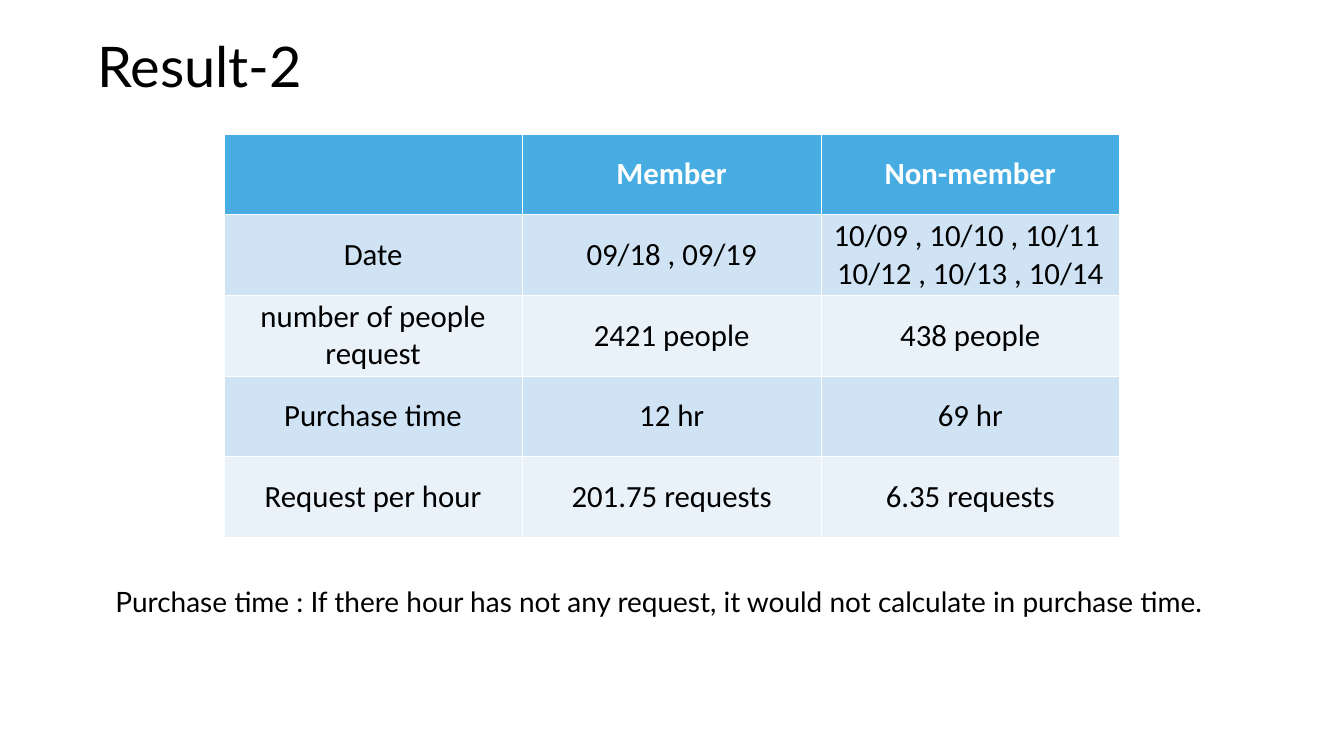
"""Build the Result-2 slide comparing member and non-member requests."""
from dataclasses import dataclass

from lxml.etree import SubElement
from pptx import Presentation
from pptx.dml.color import RGBColor
from pptx.enum.text import MSO_ANCHOR, MSO_AUTO_SIZE, PP_ALIGN
from pptx.oxml.ns import qn
from pptx.util import Inches, Pt

SLIDE_SIZE = (26.66, 15)
TABLE_BOX = (4.44, 2.66, 17.77, 8)
HEADER_FILL = "46ACE1"
BAND_FILLS = ("CFE3F4", "E9F1F9")
TITLE_FONT = {"name": "Lato", "size": Pt(80), "bold": False}
NOTE_FONT = {"name": "Lato", "size": Pt(40), "bold": False}
HEADER_FONT = {"name": "Calibri", "size": Pt(44), "bold": True}
CELL_FONT = {**HEADER_FONT, "bold": False}


@dataclass(frozen=True)
class Row:
    label: str
    member: str
    non_member: str


@dataclass(frozen=True)
class TextBlock:
    text: str
    box: tuple[float, float, float, float]
    font: dict
    anchor: MSO_ANCHOR
    space_before: float


ROWS = (
    Row("", "Member", "Non-member"),
    Row("Date", "09/18 , 09/19", "10/09 , 10/10 , 10/11  10/12 , 10/13 , 10/14"),
    Row("number of people request", "2421 people", "438 people"),
    Row("Purchase time", "12 hr", "69 hr"),
    Row("Request per hour", "201.75 requests", "6.35 requests"),
)
TITLE = TextBlock("Result-2", (1.83, 0.33, 22.99, 2.1), TITLE_FONT, MSO_ANCHOR.MIDDLE, 0)
NOTE = TextBlock(
    "Purchase time : If there hour has not any request, it would not calculate in purchase time.",
    (2.19, 11.63, 22.29, 2.1), NOTE_FONT, MSO_ANCHOR.TOP, 20,
)


def set_color(color_format, value: str) -> None:
    color_format.rgb = RGBColor.from_string(value)


def apply_format(target, values: dict) -> None:
    for name, value in values.items():
        setattr(target, name, value)


def fill_placeholder(shape, block: TextBlock) -> None:
    apply_format(shape, dict(zip(("left", "top", "width", "height"), map(Inches, block.box))))
    frame = shape.text_frame
    frame.text = block.text
    apply_format(frame, {"word_wrap": True, "auto_size": MSO_AUTO_SIZE.NONE,
                         "vertical_anchor": block.anchor})
    paragraph = frame.paragraphs[0]
    apply_format(paragraph, {"alignment": PP_ALIGN.LEFT, "line_spacing": 0.9,
                             "space_before": Pt(block.space_before)})
    properties = paragraph._p.get_or_add_pPr()
    properties.set("marL", "0")
    properties.set("indent", "0")
    SubElement(properties, qn("a:buNone"))
    font = paragraph.runs[0].font
    apply_format(font, block.font)
    set_color(font.color, "000000")


def fill_cell(cell, text: str, font_values: dict, text_color: str, fill_color: str) -> None:
    cell.fill.solid()
    set_color(cell.fill.fore_color, fill_color)
    cell.vertical_anchor = MSO_ANCHOR.MIDDLE
    cell.text = text
    paragraph = cell.text_frame.paragraphs[0]
    paragraph.alignment = PP_ALIGN.CENTER
    for run in paragraph.runs:
        apply_format(run.font, font_values)
        set_color(run.font.color, text_color)


def add_result_table(slide) -> None:
    table = slide.shapes.add_table(len(ROWS), 3, *map(Inches, TABLE_BOX)).table
    for row_index, row in enumerate(ROWS):
        if row_index == 0:
            style = (HEADER_FONT, "FFFFFF", HEADER_FILL)
        else:
            style = (CELL_FONT, "000000", BAND_FILLS[(row_index - 1) % 2])
        for column_index, text in enumerate((row.label, row.member, row.non_member)):
            fill_cell(table.cell(row_index, column_index), text, *style)


def main() -> None:
    presentation = Presentation()
    presentation.slide_width, presentation.slide_height = map(Inches, SLIDE_SIZE)
    slide = presentation.slides.add_slide(presentation.slide_layouts[1])
    fill_placeholder(slide.shapes.title, TITLE)
    fill_placeholder(slide.placeholders[1], NOTE)
    add_result_table(slide)
    presentation.save("out.pptx")


if __name__ == "__main__":
    main()
